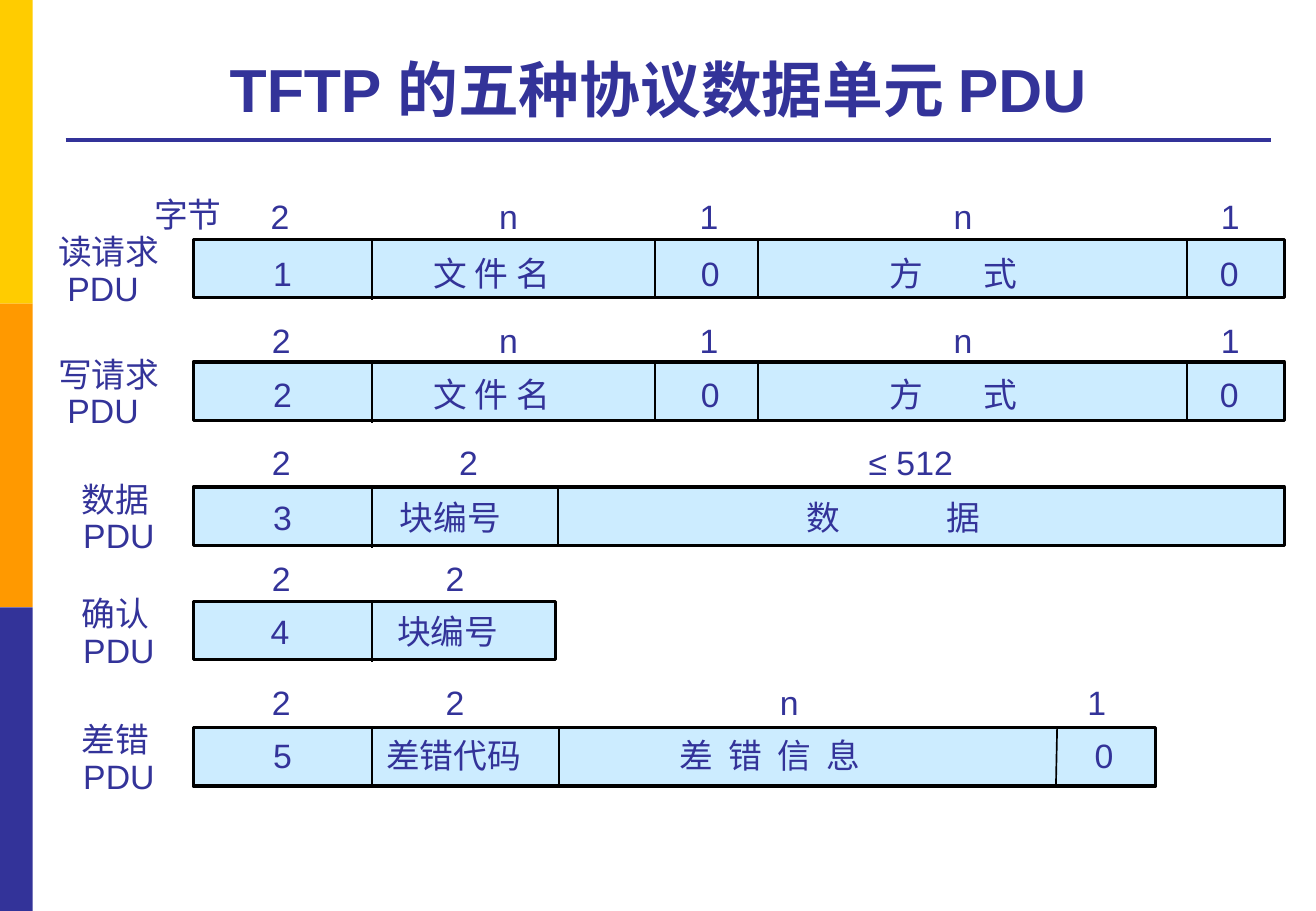
from dataclasses import dataclass

from lxml import etree
from pptx import Presentation
from pptx.dml.color import RGBColor
from pptx.enum import shapes, text
from pptx.oxml.ns import qn
from pptx.util import Inches, Pt

INK, CELL, BLACK = "333399", "CCECFF", "000000"
STRIPES = ["FFCC00", "FF9900", INK]
BAR_LEFT, BAR_H = 1.59, 0.48


@dataclass
class Field:
    """One field of a PDU: its size above, its value inside, its right edge."""
    size: str
    size_x: float
    value: str
    value_x: float
    edge: float
    size_w: float = 0.36
    value_w: float = 0.36
    spread: float = 0
    lean: float = 0


@dataclass
class Pdu:
    """One row: its name and the heights of its sizes, bar and values."""
    name: str
    name_x: float
    name_w: float
    size_y: float
    bar_y: float
    value_y: float
    fields: list


def request_fields(code, size_x):
    """Return the fields shared by the read and write requests."""
    return [
        Field("2", size_x, code, 2.15, 3.06),
        Field("n", 4.01, "文 件 名", 3.47, 5.39, value_w=1.2),
        Field("1", 5.66, "0", 5.67, 6.24),
        Field("n", 7.75, "方 式", 7.22, 9.77, value_w=1.38, spread=15.7),
        Field("1", 9.95, "0", 9.94, 10.57),
    ]


PDUS = [
    Pdu("读请求\n PDU", 0.38, 1.04, 1.56, 1.97, 2.03, request_fields("1", 2.13)),
    Pdu("写请求\n PDU", 0.38, 1.04, 2.58, 2.98, 3.03, request_fields("2", 2.14)),
    Pdu(" 数据\n PDU", 0.51, 0.87, 3.59, 4.01, 4.04, [
        Field("2", 2.14, "3", 2.15, 3.06),
        Field("2", 3.68, "块编号", 3.19, 4.59, value_w=1.04),
        Field("≤ 512", 7.05, "数 据", 6.54, 10.57, size_w=0.9, value_w=1.84, spread=29.2),
    ]),
    Pdu(" 确认\n PDU", 0.51, 0.87, 4.54, 4.95, 4.98, [
        Field("2", 2.14, "4", 2.13, 3.06),
        Field("2", 3.57, "块编号", 3.17, 4.57, value_w=1.04),
    ]),
    Pdu(" 差错\n PDU", 0.51, 0.87, 5.56, 5.99, 6.0, [
        Field("2", 2.14, "5", 2.15, 3.06),
        Field("2", 3.57, "差错代码", 3.08, 4.6, value_w=1.32),
        Field("n", 6.32, "差 错 信 息", 5.49, 8.7, value_w=1.78, spread=2.3, lean=-0.01),
        Field("1", 8.85, "0", 8.91, 9.51),
    ]),
]


def rgb(value):
    """Turn a hex string into a colour."""
    return RGBColor.from_string(value)


def add_run(p, content, size=20, bold=False, spread=0):
    """Add a formatted run, with optional points of letter spacing."""
    r = p.add_run()
    r.text = content
    r.font.name, r.font.size, r.font.bold = "Arial", Pt(size), bold
    r.font.color.rgb = rgb(INK)
    if spread:
        r.font._element.set("spc", str(round(spread * 100)))


def add_label(s, content, x, y, w=0.36, h=0.43, spacing=None, spread=0):
    """Add a text box with one paragraph for each line."""
    tf = s.shapes.add_textbox(Inches(x), Inches(y), Inches(w), Inches(h)).text_frame
    tf.word_wrap = True
    tf.margin_right = 0
    for i, line in enumerate(content.split("\n")):
        p = tf.add_paragraph() if i else tf.paragraphs[0]
        p.line_spacing = spacing
        add_run(p, line, spread=spread)


def add_box(s, x, y, w, h, fill, line=None):
    """Add a filled rectangle, outlined when a line colour is given."""
    sp = s.shapes.add_shape(shapes.MSO_SHAPE.RECTANGLE,
                            Inches(x), Inches(y), Inches(w), Inches(h))
    sp.shadow.inherit = False
    sp.fill.solid()
    sp.fill.fore_color.rgb = rgb(fill)
    if line:
        sp.line.color.rgb = rgb(line)
        sp.line.width = Pt(2)
    else:
        sp.line.fill.background()


def add_line(s, x1, y1, x2, y2, color=BLACK, width=1):
    """Add a straight line without a shadow."""
    c = s.shapes.add_connector(shapes.MSO_CONNECTOR.STRAIGHT,
                               Inches(x1), Inches(y1), Inches(x2), Inches(y2))
    c.line.color.rgb = rgb(color)
    c.line.width = Pt(width)
    etree.SubElement(c._element.spPr, qn("a:effectLst"))


def set_title(s):
    """Place and format the title."""
    sp = s.shapes.title
    sp.left, sp.top, sp.width, sp.height = (Inches(v) for v in (0.55, 0.21, 9.9, 0.89))
    tf = sp.text_frame
    tf.vertical_anchor = text.MSO_ANCHOR.BOTTOM
    p = tf.paragraphs[0]
    p.alignment = text.PP_ALIGN.CENTER
    add_run(p, "TFTP 的五种协议数据单元 PDU", size=36, bold=True)
    add_run(p, " ", size=44, bold=True)


def add_pdu(s, pdu):
    """Draw one PDU with its name, bar, dividers and labels."""
    right = pdu.fields[-1].edge
    add_box(s, BAR_LEFT, pdu.bar_y, right - BAR_LEFT, BAR_H, CELL, BLACK)
    add_label(s, pdu.name, pdu.name_x, pdu.bar_y - 0.08, pdu.name_w, 0.7, spacing=0.9)
    for i, f in enumerate(pdu.fields):
        add_label(s, f.size, f.size_x, pdu.size_y, f.size_w)
        add_label(s, f.value, f.value_x, pdu.value_y, f.value_w, spread=f.spread)
        if f.edge < right:
            bottom = pdu.bar_y + (BAR_H if i else 0.5)
            add_line(s, f.edge, pdu.bar_y, f.edge + f.lean, bottom)


def main():
    """Build and save the slide."""
    prs = Presentation()
    prs.slide_width, prs.slide_height = Inches(10.83), Inches(7.5)
    s = prs.slides.add_slide(prs.slide_layouts[5])
    for i, color in enumerate(STRIPES):
        add_box(s, 0, 2.5 * i, 0.27, 2.5, color)
    add_line(s, 0.54, 1.15, 10.46, 1.15, INK, 2.25)
    set_title(s)
    for pdu in PDUS:
        add_pdu(s, pdu)
    add_label(s, "字节", 1.17, 1.55, 0.76)
    prs.save("out.pptx")


if __name__ == "__main__":
    main()
